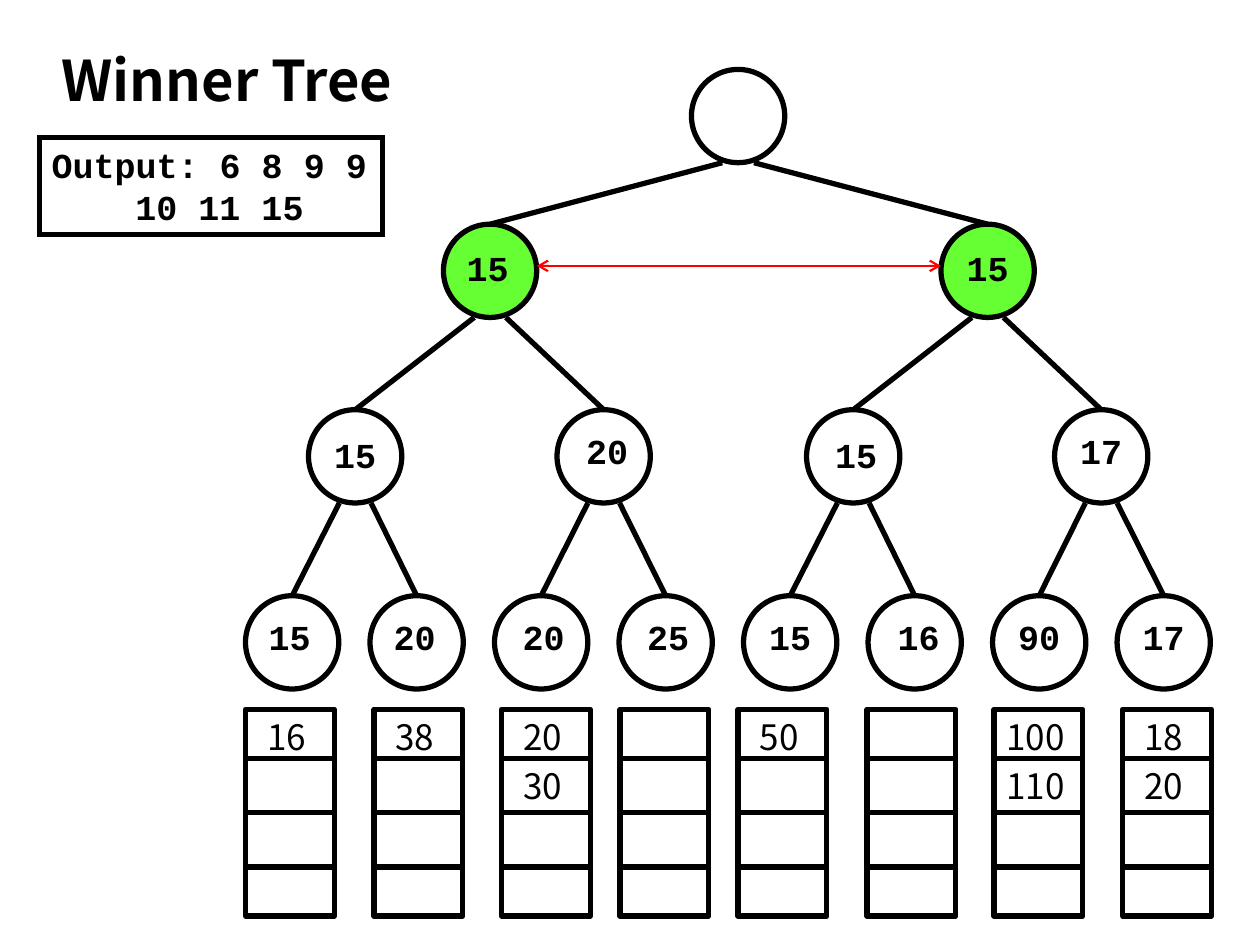
from lxml.etree import SubElement
from pptx import Presentation
from pptx.dml.color import RGBColor
from pptx.enum.shapes import MSO_CONNECTOR, MSO_SHAPE
from pptx.enum.text import MSO_ANCHOR, MSO_AUTO_SIZE, PP_ALIGN
from pptx.oxml.ns import qn
from pptx.util import Cm, Pt

BLACK = RGBColor(0, 0, 0)
GREEN = RGBColor(0x66, 0xFF, 0x33)
RED = RGBColor(0xFF, 0, 0)
MONO = "Courier New"
SANS = "Noto Sans CJK KR"
DIAMETER = 1.88
FORK = 0.32
COLUMN_WIDTH = 1.79
COLUMN_TOP = 14.3
COLUMN_HEIGHT = 4.17
MIDDLE_ROW = 16.38

deck = Presentation()
deck.slide_width = Cm(25.4)
deck.slide_height = Cm(19.05)
page = deck.slides.add_slide(deck.slide_layouts[6])


def add_line(x1, y1, x2, y2, color=BLACK, weight=3):
    line = page.shapes.add_connector(MSO_CONNECTOR.STRAIGHT, Cm(x1), Cm(y1), Cm(x2), Cm(y2))
    line.line.color.rgb = color
    line.line.width = Pt(weight)
    SubElement(line._element.spPr, qn("a:effectLst"))
    return line


def add_text(text, left, top, width, height, font, size=20, bold=False, align=PP_ALIGN.LEFT):
    box = page.shapes.add_textbox(Cm(left), Cm(top), Cm(width), Cm(height))
    box.text_frame.word_wrap = True
    box.text_frame.auto_size = MSO_AUTO_SIZE.SHAPE_TO_FIT_TEXT
    para = box.text_frame.paragraphs[0]
    para.alignment = align
    span = para.add_run()
    span.text = text
    span.font.name = font
    span.font.size = Pt(size)
    span.font.bold = bold
    span.font.color.rgb = BLACK


tree_levels = [
    (1.4, [13.94], [None]),
    (4.52, [8.94, 18.97], [("15", -0.05, 0.33), ("15", 0, 0.33)]),
    (8.26, [6.22, 11.23, 16.26, 21.26],
     [("15", 0, 0.36), ("20", 0.07, 0.28), ("15", 0.06, 0.36), ("17", 0, 0.28)]),
    (12.01, [4.95 + 2.51 * i for i in range(8)],
     [("15", -0.05, 0.28), ("20", -0.04, 0.28), ("20", 0.05, 0.28), ("25", 0.05, 0.28),
      ("15", 0, 0.28), ("16", 0.08, 0.28), ("90", 0, 0.28), ("17", 0, 0.28)]),
]

nodes = []
for depth, (top, lefts, labels) in enumerate(tree_levels):
    for left, label in zip(lefts, labels):
        node = page.shapes.add_shape(
            MSO_SHAPE.OVAL, Cm(left), Cm(top), Cm(DIAMETER), Cm(DIAMETER))
        node.shadow.inherit = False
        node.line.color.rgb = BLACK
        node.line.width = Pt(3)
        if depth == 1:
            node.fill.solid()
            node.fill.fore_color.rgb = GREEN
        else:
            node.fill.background()
        nodes.append((node, left, top))
        if label:
            value, shift, drop = label
            add_text(value, left + 0.09 + shift, top + drop, 1.7, 1.11,
                     MONO, bold=True, align=PP_ALIGN.CENTER)

for index in range(1, len(nodes)):
    child, child_left, child_top = nodes[index]
    parent, parent_left, parent_top = nodes[(index - 1) // 2]
    side = -FORK if index % 2 else FORK
    edge = add_line(child_left + DIAMETER / 2, child_top,
                    parent_left + DIAMETER / 2 + side, parent_top + DIAMETER)
    edge.begin_connect(child, 0)

columns = [
    (4.95, ["16"]),
    (7.54, ["38"]),
    (10.11, ["20", "30"]),
    (12.5, []),
    (14.88, ["50"]),
    (17.48, []),
    (20.04, ["100", "110"]),
    (22.63, ["18", "20"]),
]
for left, values in columns:
    column = page.shapes.add_shape(
        MSO_SHAPE.RECTANGLE, Cm(left), Cm(COLUMN_TOP), Cm(COLUMN_WIDTH), Cm(COLUMN_HEIGHT))
    column.shadow.inherit = False
    column.fill.background()
    column.line.color.rgb = BLACK
    column.line.width = Pt(3)
    for y in (15.29, MIDDLE_ROW, 17.48):
        divider = add_line(left, y, left + COLUMN_WIDTH, y)
        if y == MIDDLE_ROW:
            divider.begin_connect(column, 1)
            divider.end_connect(column, 3)
    for value, top in zip(values, (COLUMN_TOP, 15.29)):
        width = 1.8 if len(value) > 2 else 1.42
        add_text(value, left + (COLUMN_WIDTH - width) / 2, top, width, 1.11, SANS)

add_text("Winner Tree", 0.99, 0.79, 8.53, 1.62, SANS, size=32, bold=True)

output = page.shapes.add_shape(MSO_SHAPE.RECTANGLE, Cm(0.79), Cm(2.77), Cm(6.93), Cm(1.96))
output.shadow.inherit = False
output.fill.background()
output.line.color.rgb = BLACK
output.line.width = Pt(3)
SubElement(output.line._get_or_add_ln(), qn("a:miter"), lim="800000")
frame = output.text_frame
frame.word_wrap = False
frame.auto_size = MSO_AUTO_SIZE.SHAPE_TO_FIT_TEXT
frame.vertical_anchor = MSO_ANCHOR.TOP
for number, (text, indent) in enumerate([("Output: 6 8 9 9", 0), ("10 11 15", 1.69)]):
    para = frame.add_paragraph() if number else frame.paragraphs[0]
    para.alignment = PP_ALIGN.LEFT
    para._p.get_or_add_pPr().set("marL", str(Cm(indent)))
    span = para.add_run()
    span.text = text
    span.font.name = MONO
    span.font.size = Pt(20)
    span.font.bold = True
    span.font.color.rgb = BLACK

match = add_line(10.82, 5.36, 18.97, 5.36, RED, 1.25)
for end in ("a:headEnd", "a:tailEnd"):
    SubElement(match.line._get_or_add_ln(), qn(end), type="arrow")

deck.save("out.pptx")
